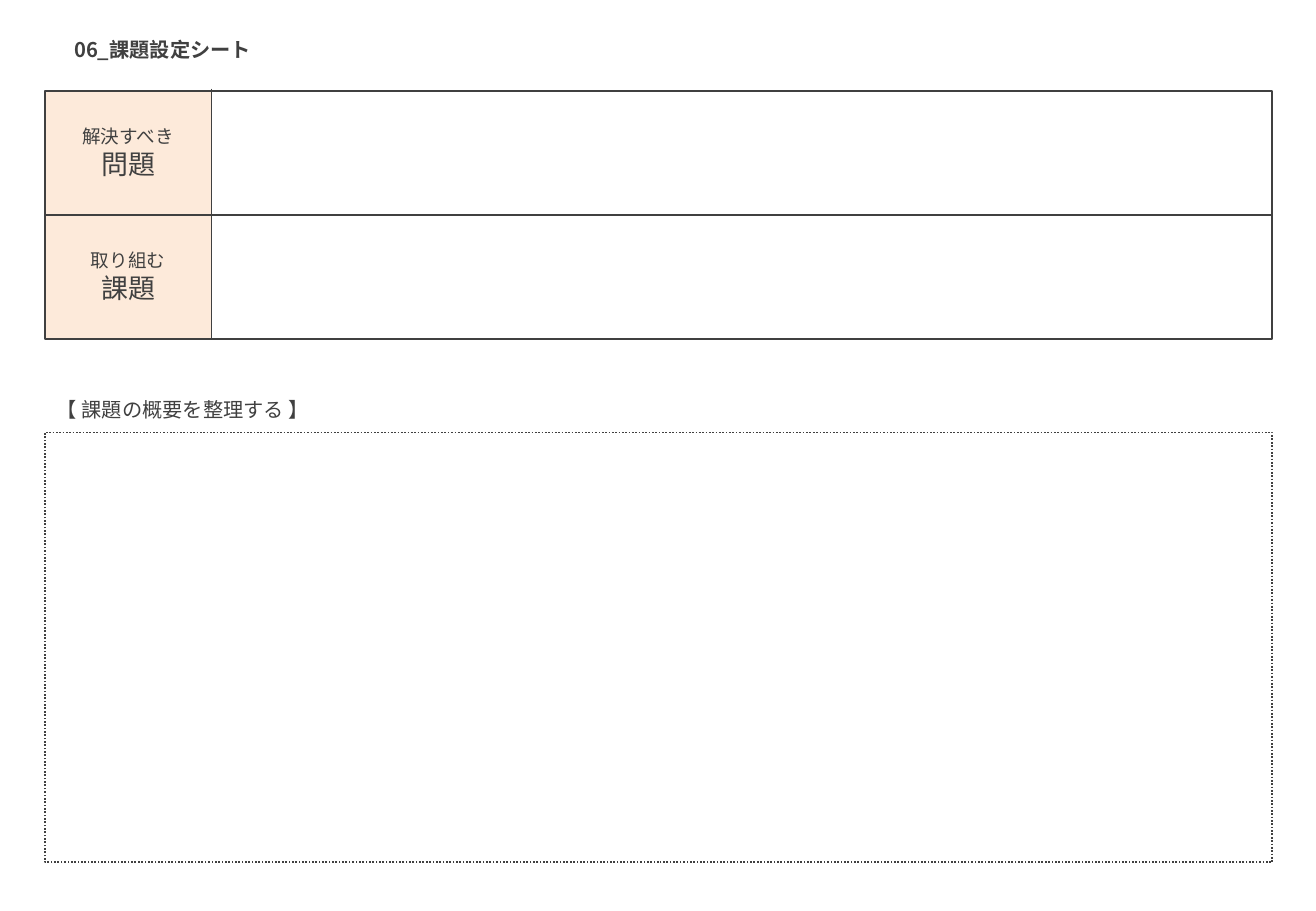
from pptx import Presentation
from pptx.dml.color import RGBColor
from pptx.enum.dml import MSO_LINE
from pptx.enum.shapes import MSO_CONNECTOR, MSO_SHAPE
from pptx.enum.text import MSO_ANCHOR, MSO_AUTO_SIZE, PP_ALIGN
from pptx.oxml.ns import qn
from pptx.util import Inches, Pt

TITLE = "06_課題設定シート"
ROWS = [("解決すべき", "問題"), ("取り組む", "課題")]
SUMMARY = "【 課題の概要を整理する 】"

FONT = "Noto Sans CJK JP"
INK = RGBColor(0x40, 0x40, 0x40)
PEACH = RGBColor(0xFD, 0xEA, 0xDA)

WIDTH, HEIGHT = 10.83, 7.5
LEFT, TABLE_TOP = 0.37, 0.75
FRAME_W = 10.1
LABEL_W, ROW_H, LABEL_H = 1.37, 1.02, 0.56
SUMMARY_TOP, SUMMARY_H = 3.56, 3.54


def write(shape, lines, align=PP_ALIGN.LEFT, bold=False, spacing=None, wrap=True):
    """Fill a shape with (text, size) lines, one paragraph each."""
    tf = shape.text_frame
    tf.word_wrap = wrap
    tf.auto_size = MSO_AUTO_SIZE.SHAPE_TO_FIT_TEXT
    tf.vertical_anchor = MSO_ANCHOR.TOP
    tf.text = "\n".join(text for text, _ in lines)
    for p, (_, size) in zip(tf.paragraphs, lines):
        p.alignment = align
        p.line_spacing = spacing
        p.font.size = Pt(size)
        p.font.bold = bold
        p.font.color.rgb = INK
        p.font.name = FONT
        east_asian = p.font._element.makeelement(qn("a:ea"), {"typeface": FONT})
        p.font._element.find(qn("a:latin")).addnext(east_asian)


def add_text(x, y, w, h, lines, **style):
    write(s.shapes.add_textbox(Inches(x), Inches(y), Inches(w), Inches(h)),
          lines, **style)


def add_rect(y, w, h, fill=None, line_width=None, dash=None):
    rect = s.shapes.add_shape(MSO_SHAPE.RECTANGLE, Inches(LEFT), Inches(y),
                              Inches(w), Inches(h))
    rect.shadow.inherit = False
    if fill is None:
        rect.fill.background()
    else:
        rect.fill.solid()
        rect.fill.fore_color.rgb = fill
    if line_width is None:
        rect.line.fill.background()
    else:
        rect.line.color.rgb = INK
        rect.line.width = Pt(line_width)
        if dash is not None:
            rect.line.dash_style = dash


def add_rule(x1, y1, x2, y2):
    rule = s.shapes.add_connector(MSO_CONNECTOR.STRAIGHT, Inches(x1), Inches(y1),
                                  Inches(x2), Inches(y2))
    rule.line.color.rgb = INK
    rule.line.width = Pt(1)
    sp_pr = rule._element.spPr
    sp_pr.append(sp_pr.makeelement(qn("a:effectLst"), {}))


prs = Presentation()
prs.slide_width, prs.slide_height = Inches(WIDTH), Inches(HEIGHT)
s = prs.slides.add_slide(prs.slide_layouts[5])

title = s.shapes.title
title.left, title.top = Inches(0.51), Inches(0.26)
title.width, title.height = Inches(1.72), Inches(0.3)
write(title, [(TITLE, 12)], bold=True, wrap=False)

table_h = ROW_H * len(ROWS)
add_rect(TABLE_TOP, LABEL_W, table_h, fill=PEACH)
for i in range(1, len(ROWS)):
    y = TABLE_TOP + i * ROW_H
    add_rule(LEFT, y, LEFT + FRAME_W, y)
add_rule(LEFT + LABEL_W, TABLE_TOP - 0.02, LEFT + LABEL_W, TABLE_TOP + table_h)
for i, (lead, word) in enumerate(ROWS):
    y = TABLE_TOP + i * ROW_H + (ROW_H - LABEL_H) / 2
    add_text(LEFT, y, LABEL_W, LABEL_H, [(lead, 11), (word, 16)],
             align=PP_ALIGN.CENTER)
add_rect(TABLE_TOP, FRAME_W, table_h, line_width=1.5)

add_text(LEFT, SUMMARY_TOP - 0.38, 6.72, 0.34, [(SUMMARY, 12)], spacing=1.2)
add_rect(SUMMARY_TOP, FRAME_W, SUMMARY_H, line_width=1, dash=MSO_LINE.ROUND_DOT)

prs.save("out.pptx")
